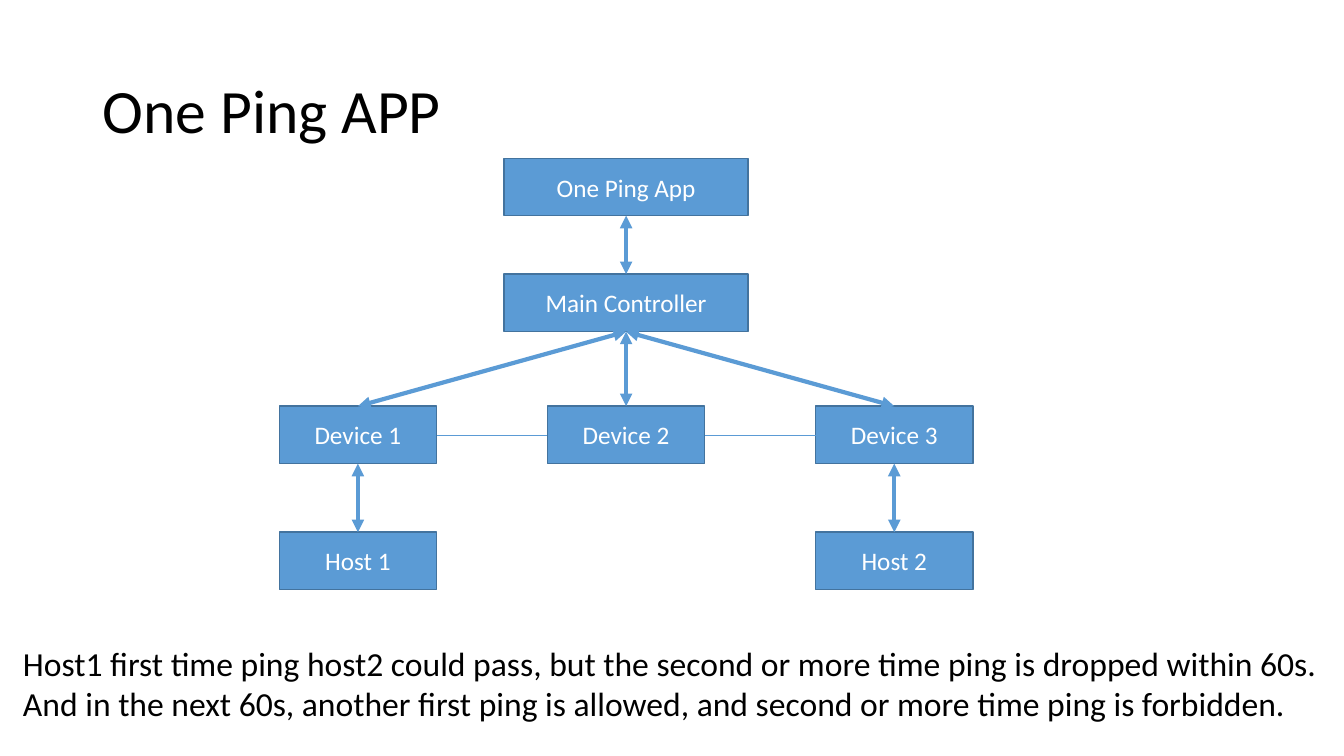
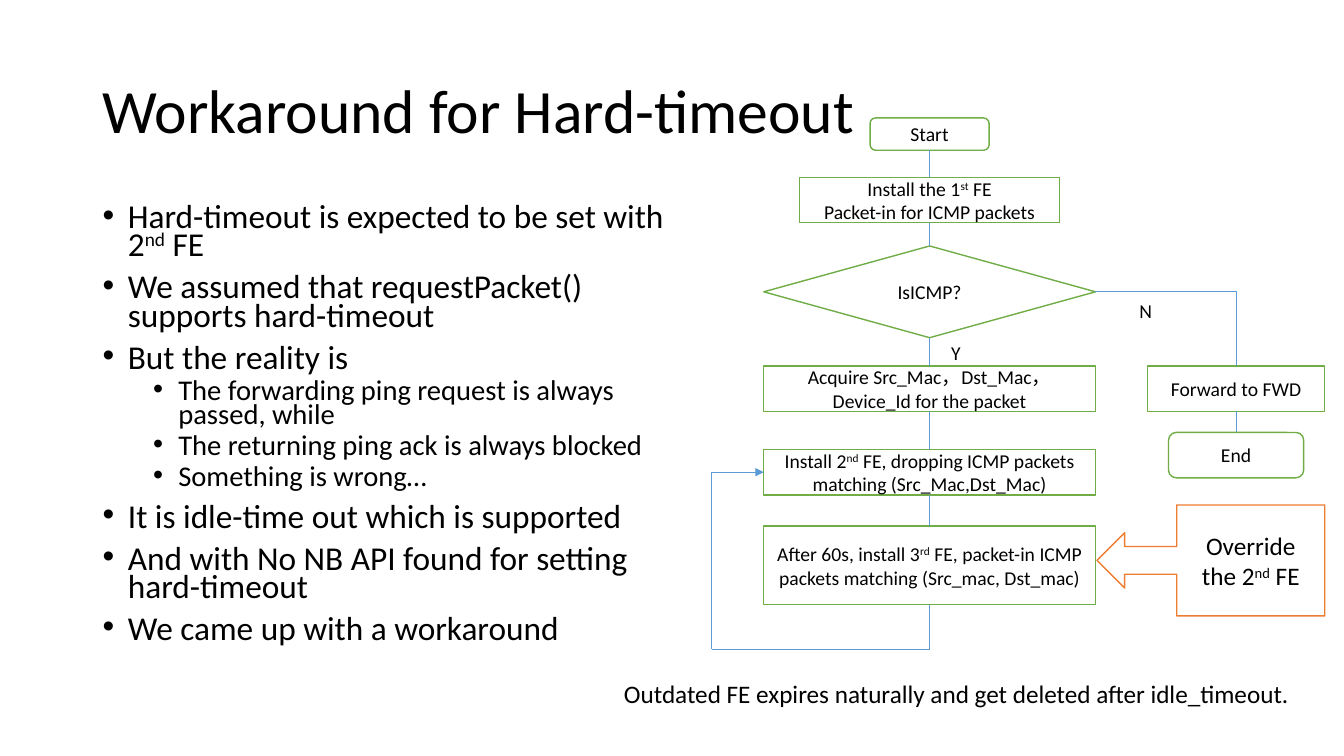
from lxml.etree import SubElement
from pptx import Presentation
from pptx.dml.color import RGBColor
from pptx.enum.shapes import MSO_CONNECTOR, MSO_SHAPE
from pptx.enum.text import MSO_ANCHOR, MSO_AUTO_SIZE, PP_ALIGN
from pptx.oxml.ns import qn
from pptx.util import Inches, Pt

FONT = "Calibri"
BLACK = RGBColor(0x00, 0x00, 0x00)
WHITE = RGBColor(0xFF, 0xFF, 0xFF)
BLUE = RGBColor(0x5B, 0x9B, 0xD5)
DARK_BLUE = RGBColor(0x43, 0x73, 0x9E)
GREEN = RGBColor(0x70, 0xAD, 0x47)
ORANGE = RGBColor(0xED, 0x7D, 0x31)

TOP, LEFT, BOTTOM, RIGHT = range(4)
BOTH_ENDS = ("headEnd", "tailEnd")
NETWORK_STYLE = {"fill": BLUE, "outline": DARK_BLUE, "color": WHITE, "size": 18}
FLOW_STYLE = {"fill": WHITE, "outline": GREEN, "color": BLACK, "size": 14}
CALLOUT_STYLE = {"fill": WHITE, "outline": ORANGE, "color": BLACK, "size": 18}

BULLETS = [
    (0, "Hard-timeout is expected to be set with 2^nd^ FE"),
    (0, "We assumed that requestPacket() supports hard-timeout"),
    (0, "But the reality is"),
    (1, "The forwarding ping request is always passed, while"),
    (1, "The returning ping ack is always blocked"),
    (1, "Something is wrong…"),
    (0, "It is idle-time out which is supported"),
    (0, "And with No NB API found for setting hard-timeout"),
    (0, "We came up with a workaround"),
]


def write_para(para, text, size=18, color=BLACK, align=None, spacing=None):
    """Fill a paragraph; text between two ^ marks is superscript."""
    para.alignment = align
    para.line_spacing = spacing
    for index, part in enumerate(text.split("^")):
        if not part:
            continue
        span = para.add_run()
        span.text = part
        span.font.name = FONT
        span.font.size = Pt(size)
        span.font.color.rgb = color
        if index % 2:
            span.font.language_id = None
            span._r.get_or_add_rPr().set("baseline", "30000")


def write_frame(frame, text, **text_format):
    for index, line in enumerate(text.split("\n")):
        para = frame.add_paragraph() if index else frame.paragraphs[0]
        write_para(para, line, **text_format)


def add_text(page, text, left, top, width, height, wrap=True,
             anchor=MSO_ANCHOR.TOP, grow=True, **text_format):
    box = page.shapes.add_textbox(Inches(left), Inches(top), Inches(width), Inches(height))
    frame = box.text_frame
    frame.word_wrap = wrap
    frame.vertical_anchor = anchor
    frame.auto_size = MSO_AUTO_SIZE.SHAPE_TO_FIT_TEXT if grow else MSO_AUTO_SIZE.NONE
    write_frame(frame, text, **text_format)
    return box


def add_page(deck, title):
    page = deck.slides.add_slide(deck.slide_layouts[6])
    add_text(page, title, 0.92, 0.4, 11.5, 1.45, anchor=MSO_ANCHOR.MIDDLE,
             grow=False, size=44, spacing=0.9)
    return page


def add_bullets(page, items):
    box = add_text(page, "", 0.92, 2, 5.82, 4.88, grow=False)
    frame = box.text_frame
    for index, (level, text) in enumerate(items):
        para = frame.add_paragraph() if index else frame.paragraphs[0]
        para.level = level
        para.space_before = Pt(5 if level else 10)
        write_para(para, text, size=20.4 if level else 23.8, spacing=0.7)
        properties = para._p.get_or_add_pPr()
        properties.set("marL", str(Inches(0.25 + 0.5 * level)))
        properties.set("indent", str(Inches(-0.25)))
        SubElement(properties, qn("a:buFont"), typeface="Arial")
        SubElement(properties, qn("a:buChar"), char="•")


def add_box(page, text, center, top, width, height, fill, outline,
            kind=MSO_SHAPE.RECTANGLE, **text_format):
    """Add a shape centred on the horizontal position given."""
    box = page.shapes.add_shape(kind, Inches(center - width / 2), Inches(top),
                                Inches(width), Inches(height))
    box.shadow.inherit = False
    box.fill.solid()
    box.fill.fore_color.rgb = fill
    box.line.color.rgb = outline
    box.line.width = Pt(1)
    box.text_frame.word_wrap = True
    box.text_frame.vertical_anchor = MSO_ANCHOR.MIDDLE
    write_frame(box.text_frame, text, align=PP_ALIGN.CENTER, **text_format)
    return box


def add_line(page, start=(0, 0), end=(0, 0), width=0.5, arrows=(), preset="line"):
    line = page.shapes.add_connector(MSO_CONNECTOR.STRAIGHT, *start, *end)
    line.line.color.rgb = BLUE
    line.line.width = Pt(width)
    properties = line.element.spPr
    properties.find(qn("a:prstGeom")).set("prst", preset)
    for arrow in arrows:
        SubElement(properties.find(qn("a:ln")), qn(f"a:{arrow}"), type="triangle")
    SubElement(properties, qn("a:effectLst"))
    return line


def join(page, first, first_side, second, second_side, **line_format):
    line = add_line(page, **line_format)
    line.begin_connect(first, first_side)
    line.end_connect(second, second_side)


def build_network(deck):
    page = add_page(deck, "One Ping APP")
    add_text(page, "Host1 first time ping host2 could pass, but the second or more time "
             "ping is dropped within 60s. And in the next 60s, another first ping is "
             "allowed, and second or more time ping is forbidden.",
             0.13, 6.33, 13.2, 0.91, size=24)

    middle, pitch, height = 6.21, 2.66, 0.57
    columns = [middle + pitch * step for step in (-1, 0, 1)]
    app, controller = [
        add_box(page, text, middle, top, 2.42, height, **NETWORK_STYLE)
        for text, top in (("One Ping App", 1.57), ("Main Controller", 2.72))
    ]
    devices = [
        add_box(page, f"Device {number}", center, 4.03, 1.56, height, **NETWORK_STYLE)
        for number, center in enumerate(columns, 1)
    ]
    hosts = [
        add_box(page, f"Host {number}", center, 5.28, 1.56, height, **NETWORK_STYLE)
        for number, center in enumerate(columns[::2], 1)
    ]

    links = [(app, controller)]
    links += [(controller, device) for device in devices]
    links += zip(devices[::2], hosts)
    for upper, lower in links:
        join(page, upper, BOTTOM, lower, TOP, width=3, arrows=BOTH_ENDS)
    for device, neighbor in zip(devices, devices[1:]):
        join(page, device, RIGHT, neighbor, LEFT)


def build_workaround(deck):
    page = add_page(deck, "Workaround for Hard-timeout")
    add_bullets(page, BULLETS)

    main_column, side_column = 9.22, 12.26
    rounded = MSO_SHAPE.ROUNDED_RECTANGLE
    plain = MSO_SHAPE.RECTANGLE
    steps = [
        add_box(page, text, main_column, top, width, height, kind=kind, **FLOW_STYLE)
        for text, top, width, height, kind in (
            ("Start", 1.17, 1.18, 0.32, rounded),
            ("Install the 1^st^ FE\nPacket-in for ICMP packets", 1.76, 2.58, 0.45, plain),
            ("IsICMP?", 2.44, 3.29, 0.91, MSO_SHAPE.FLOWCHART_DECISION),
            ("Acquire Src_Mac，Dst_Mac，Device_Id for the packet", 3.63, 3.29, 0.45, plain),
            ("Install 2^nd^ FE, dropping ICMP packets matching (Src_Mac,Dst_Mac)",
             4.46, 3.29, 0.45, plain),
            ("After 60s, install 3^rd^ FE, packet-in ICMP packets matching "
             "(Src_mac, Dst_mac)", 5.22, 3.29, 0.78, plain),
        )
    ]
    for step, following in zip(steps, steps[1:]):
        join(page, step, BOTTOM, following, TOP)

    decision, drop, renew = steps[2], steps[4], steps[5]
    forward = add_box(page, "Forward to FWD", side_column, 3.63, 1.76, 0.45, **FLOW_STYLE)
    finish = add_box(page, "End", side_column, 4.29, 1.34, 0.45, kind=rounded, **FLOW_STYLE)
    join(page, decision, RIGHT, forward, TOP, preset="bentConnector2")
    join(page, forward, BOTTOM, finish, TOP)
    for answer, left, top, width in (("N", 11.2, 2.92, 0.33), ("Y", 9.33, 3.33, 0.3)):
        add_text(page, answer, left, top, width, 0.34, wrap=False, size=14,
                 align=PP_ALIGN.CENTER)

    loop_left, loop_bottom = Inches(7.06), Inches(6.44)
    turn = (Inches(main_column), loop_bottom)
    corner = (loop_left, loop_bottom)
    entry = (loop_left, drop.top + drop.height // 2)
    add_line(page, end=turn).begin_connect(renew, BOTTOM)
    add_line(page, turn, corner)
    add_line(page, corner, entry)
    add_line(page, entry, arrows=("tailEnd",)).end_connect(drop, LEFT)

    add_box(page, "Override the 2^nd^ FE", 12.01, 5.01, 2.26, 1.1,
            kind=MSO_SHAPE.LEFT_ARROW_CALLOUT, **CALLOUT_STYLE)
    add_text(page, "Outdated FE expires naturally and get deleted after idle_timeout.",
             6.09, 6.68, 7.05, 0.4)


def main():
    deck = Presentation()
    deck.slide_width = Inches(13.33)
    deck.slide_height = Inches(7.5)
    build_network(deck)
    build_workaround(deck)
    deck.save("out.pptx")


if __name__ == "__main__":
    main()
